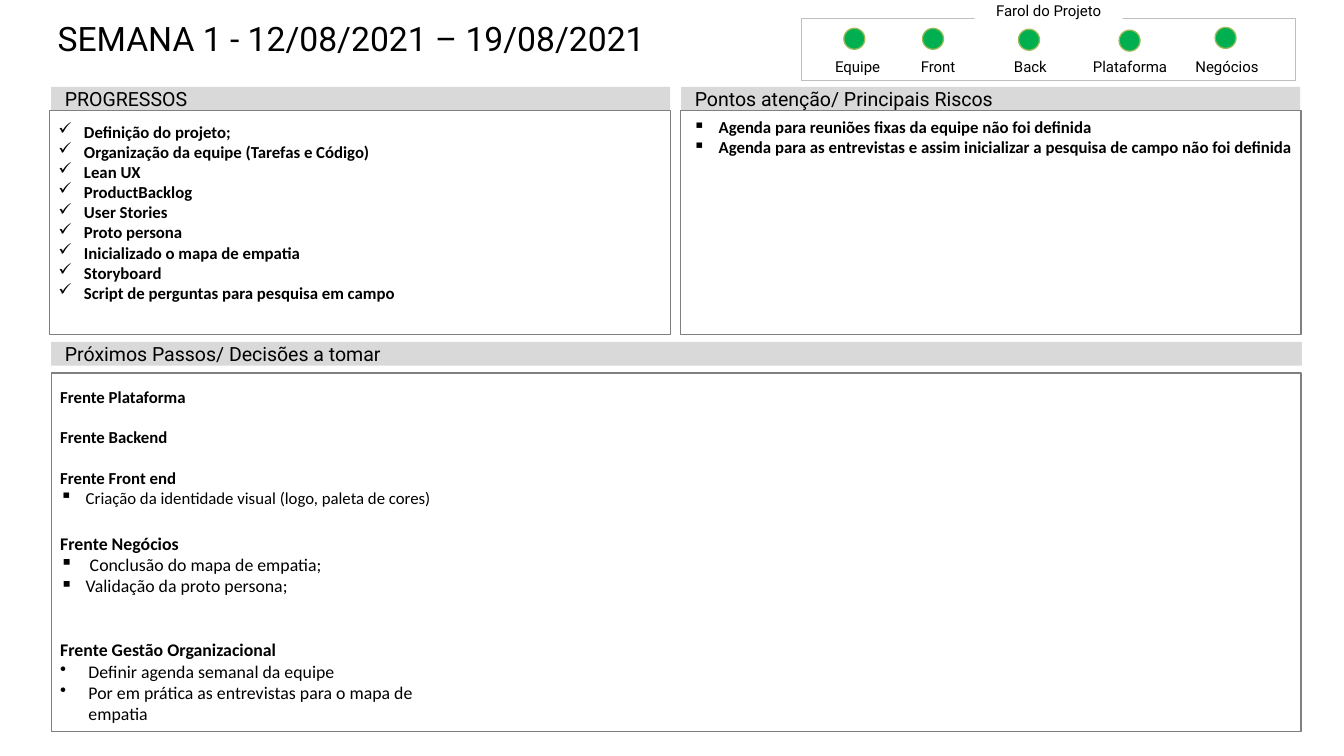
from dataclasses import dataclass

from lxml.etree import SubElement
from pptx import Presentation
from pptx.dml.color import RGBColor
from pptx.enum.shapes import MSO_SHAPE
from pptx.enum.text import MSO_ANCHOR, PP_ALIGN
from pptx.oxml.ns import qn
from pptx.util import Inches, Pt


@dataclass(frozen=True)
class Theme:
    black: str = "000000"
    white: str = "FFFFFF"
    band: str = "D9D9D9"
    frame: str = "808080"
    status_frame: str = "BFBFBF"
    green: str = "00B050"
    green_line: str = "9BBB59"
    heading_font: str = "Roboto"
    body_font: str = "Calibri"
    title_size: float = 26.5
    band_size: float = 15.4
    label_size: float = 11.8
    body_size: float = 13.2
    large_size: float = 14


theme = Theme()
presentation = Presentation()
presentation.slide_width = Inches(14.7)
presentation.slide_height = Inches(8.27)
slide = presentation.slides.add_slide(presentation.slide_layouts[6])


def add_box(bounds, fill=None, line=None, line_width=1, kind=MSO_SHAPE.RECTANGLE):
    shape = slide.shapes.add_shape(kind, *map(Inches, bounds))
    shape.shadow.inherit = False
    if fill:
        shape.fill.solid()
        shape.fill.fore_color.rgb = RGBColor.from_string(fill)
    else:
        shape.fill.background()
    if line:
        shape.line.color.rgb = RGBColor.from_string(line)
        shape.line.width = Pt(line_width)
    else:
        shape.line.fill.background()
    return shape


def write(shape, text, *, font=theme.body_font, size=theme.body_size, bold=False,
          align=PP_ALIGN.LEFT, anchor=MSO_ANCHOR.TOP, insets=(0.1, 0.12, 0.1, 0.05),
          wrap=True, bullet=None, indent=0.28, before=0, append=False):
    frame = shape.text_frame
    frame.word_wrap = wrap
    frame.vertical_anchor = anchor
    (frame.margin_left, frame.margin_top,
     frame.margin_right, frame.margin_bottom) = map(Inches, insets)
    for index, line in enumerate(text.split("\n")):
        paragraph = frame.add_paragraph() if append or index else frame.paragraphs[0]
        paragraph.alignment = align
        paragraph.space_before = Pt(before)
        run = paragraph.add_run()
        run.text = line
        run.font.name = font
        run.font.size = Pt(size)
        run.font.bold = bold
        run.font.color.rgb = RGBColor.from_string(theme.black)
        if bullet:
            properties = paragraph._p.get_or_add_pPr()
            properties.set("marL", str(Inches(indent)))
            properties.set("indent", str(-Inches(indent)))
            SubElement(properties, qn("a:buChar")).set("char", bullet)


title = slide.shapes.add_textbox(*map(Inches, (0.51, 0.2, 8, 0.7)))
write(title, "SEMANA 1 - 12/08/2021 – 19/08/2021", font=theme.heading_font,
      size=theme.title_size, insets=(0.12, 0, 0.12, 0))

label_format = dict(font=theme.heading_font, size=theme.label_size, wrap=False,
                    align=PP_ALIGN.CENTER, anchor=MSO_ANCHOR.BOTTOM,
                    insets=(0.06, 0.06, 0.06, 0))
add_box((8.77, 0.2, 5.4, 0.68), line=theme.status_frame, line_width=0.5)
status_title = add_box((10.66, -0.02, 1.62, 0.23), fill=theme.white)
write(status_title, "Farol do Projeto", **label_format)

for name, label_left, light_left, light_top in (
    ("Equipe", 8.89, 9.23, 0.31),
    ("Front", 9.77, 10.09, 0.31),
    ("Back", 10.78, 11.14, 0.32),
    ("Plataforma", 11.87, 12.24, 0.33),
    ("Negócios", 12.93, 13.29, 0.3),
):
    add_box((light_left, light_top, 0.23, 0.23), fill=theme.green,
            line=theme.green_line, kind=MSO_SHAPE.OVAL)
    label = slide.shapes.add_textbox(*map(Inches, (label_left, 0.63, 0.98, 0.2)))
    write(label, name, **label_format)

for heading, left, top, width in (
    ("PROGRESSOS", 0.56, 0.95, 6.77),
    ("Pontos atenção/ Principais Riscos", 7.45, 0.95, 6.77),
    ("Próximos Passos/ Decisões a tomar", 0.56, 3.74, 13.68),
):
    band = add_box((left, top, width, 0.26), fill=theme.band)
    write(band, heading, font=theme.heading_font, size=theme.band_size,
          anchor=MSO_ANCHOR.MIDDLE, insets=(0.15, 0.07, 0.15, 0.07))

progress = add_box((0.54, 1.21, 6.79, 2.45), line=theme.frame)
write(progress, """Definição do projeto;
Organização da equipe (Tarefas e Código)
Lean UX
ProductBacklog
User Stories
Proto persona
Inicializado o mapa de empatia
Storyboard
Script de perguntas para pesquisa em campo""", bold=True, bullet="✓")

risks = add_box((7.44, 1.21, 6.79, 2.45), line=theme.frame)
write(risks, """Agenda para reuniões fixas da equipe não foi definida
Agenda para as entrevistas e assim inicializar a pesquisa de campo não foi definida""",
      bold=True, bullet="▪", insets=(0.14, 0.07, 0.05, 0.05))

next_steps = add_box((0.56, 4.08, 13.67, 3.92), line=theme.frame)
for index, (front, size, before, bullet, indent, steps) in enumerate((
    ("Plataforma", theme.body_size, 0, None, 0, ""),
    ("Backend", theme.body_size, 16.1, None, 0, ""),
    ("Front end", theme.body_size, 16.1, "▪", 0.28,
     "Criação da identidade visual (logo, paleta de cores)"),
    ("Negócios", theme.large_size, 19.5, "▪", 0.28,
     " Conclusão do mapa de empatia;\nValidação da proto persona;"),
    ("Gestão Organizacional", theme.large_size, 33.5, "•", 0.31,
     "Definir agenda semanal da equipe\n"
     "Por em prática as entrevistas para o mapa de empatia"),
)):
    column = dict(size=size, anchor=MSO_ANCHOR.MIDDLE, insets=(0.1, 0.12, 9.1, 0.05))
    write(next_steps, f"Frente {front}", bold=True, before=before,
          append=index > 0, **column)
    if steps:
        write(next_steps, steps, bullet=bullet, indent=indent, append=True, **column)

presentation.save("out.pptx")
